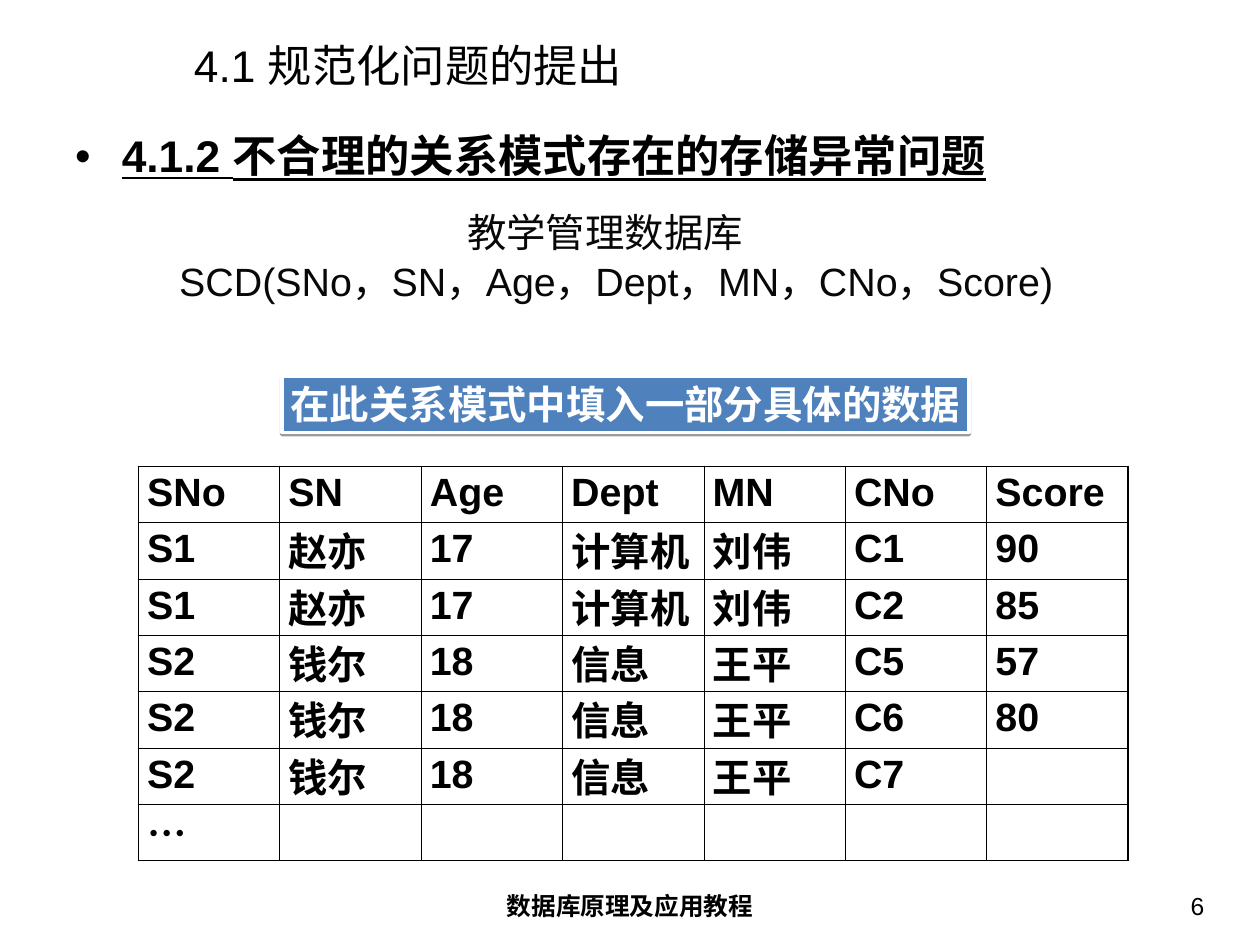
from lxml.etree import SubElement
from pptx import Presentation
from pptx.dml.color import RGBColor
from pptx.enum.shapes import MSO_SHAPE as SHAPE
from pptx.enum.text import MSO_ANCHOR as ANCHOR, PP_ALIGN as ALIGN
from pptx.oxml.ns import qn
from pptx.util import Pt

LATIN, CJK = "Arial", "Noto Sans CJK SC"
BLACK, WHITE, BLUE, INK = "000000", "FFFFFF", "4F81BD", "080808"
COURSE_ROWS = [
    ["SNo", "SN", "Age", "Dept", "MN", "CNo", "Score"],
    ["S1", "赵亦", "17", "计算机", "刘伟", "C1", "90"],
    ["S1", "赵亦", "17", "计算机", "刘伟", "C2", "85"],
    ["S2", "钱尔", "18", "信息", "王平", "C5", "57"],
    ["S2", "钱尔", "18", "信息", "王平", "C6", "80"],
    ["S2", "钱尔", "18", "信息", "王平", "C7", ""],
    ["…", "", "", "", "", "", ""],
]


def rgb(color):
    return RGBColor.from_string(color)


def add_run(p, text, color=BLACK, name=LATIN, **formats):
    r = p.add_run()
    r.text = text
    r.font.color.rgb = rgb(color)
    formats["name"] = name
    for key, value in formats.items():
        setattr(r.font, key, value)
    SubElement(r.font._element, qn("a:ea")).set("typeface", CJK)


def set_frame(tf, side, end, anchor=ANCHOR.TOP, wrap=True):
    formats = dict(margin_left=Pt(side), margin_right=Pt(side), margin_top=Pt(end),
                   margin_bottom=Pt(end), vertical_anchor=anchor, word_wrap=wrap)
    for key, value in formats.items():
        setattr(tf, key, value)


def add_label(s, box, text, align=ALIGN.LEFT, anchor=ANCHOR.TOP, **formats):
    tf = s.shapes.add_textbox(*map(Pt, box)).text_frame
    set_frame(tf, 10, 5, anchor)
    p = tf.paragraphs[0]
    p.alignment = align
    add_run(p, text, **formats)
    return p


def set_indent(p, left, first):
    pPr = p._p.get_or_add_pPr()
    pPr.set("marL", str(Pt(left)))
    pPr.set("indent", str(Pt(first)))
    return pPr


def add_heading(s, box):
    p = add_label(s, box, "4.1.2 不合理的关系模式存在的存储异常问题",
                  size=Pt(36), bold=True, underline=True)
    p.line_spacing = 0.9
    pPr = set_indent(p, 38, -38)
    color = SubElement(SubElement(pPr, qn("a:buClr")), qn("a:srgbClr"))
    color.set("val", BLACK)
    SubElement(pPr, qn("a:buFont")).set("typeface", LATIN)
    SubElement(pPr, qn("a:buChar")).set("char", "•")


def add_schema(s, box):
    tf = s.shapes.add_textbox(*map(Pt, box)).text_frame
    set_frame(tf, 7.2, 3.6)
    lines = [("教学管理数据库", -18),
             ("SCD(SNo，SN，Age，Dept，MN，CNo，Score)", 0)]
    for i, (text, first) in enumerate(lines):
        p = tf.add_paragraph() if i else tf.paragraphs[0]
        p.alignment = ALIGN.CENTER
        p.line_spacing = 0.9
        p.space_before = Pt(5)
        set_indent(p, 90, first)
        add_run(p, text, INK, size=Pt(32))


def add_banner(s, box):
    sp = s.shapes.add_shape(SHAPE.RECTANGLE, *map(Pt, box))
    sp.fill.solid()
    sp.fill.fore_color.rgb = rgb(BLUE)
    sp.line.color.rgb = rgb(WHITE)
    sp.line.width = Pt(3)
    # Thin shadow below the banner
    sp.shadow.inherit = False
    shadow = SubElement(sp._element.spPr.find(qn("a:effectLst")), qn("a:outerShdw"))
    for key, value in dict(blurRad=0, dist=Pt(1.6), dir=5400000, rotWithShape=0).items():
        shadow.set(key, str(value))
    color = SubElement(shadow, qn("a:srgbClr"))
    color.set("val", BLACK)
    SubElement(color, qn("a:alpha")).set("val", "38000")
    # Banner text
    set_frame(sp.text_frame, 7.2, 3.6, ANCHOR.MIDDLE, False)
    p = sp.text_frame.paragraphs[0]
    p.alignment = ALIGN.LEFT
    add_run(p, "在此关系模式中填入一部分具体的数据", WHITE, size=Pt(32), bold=True)


def set_borders(cell, widths):
    tcPr = cell._tc.get_or_add_tcPr()
    for i, (side, width) in enumerate(widths.items()):
        ln = tcPr.makeelement(qn(f"a:{side}"), {"w": str(Pt(width))})
        fill = SubElement(ln, qn("a:solidFill"))
        SubElement(fill, qn("a:srgbClr")).set("val", BLACK)
        tcPr.insert(i, ln)


def fill_cell(cell, text):
    is_cjk = bool(text) and not text.isascii()
    margins = dict(margin_left=7.2, margin_right=7.2,
                   margin_top=7.2 if is_cjk else 3.6,
                   margin_bottom=0 if is_cjk else 3.6)
    for key, value in margins.items():
        setattr(cell, key, Pt(value))
    cell.fill.background()
    if text:
        p = cell.text_frame.paragraphs[0]
        p.space_before = Pt(8)
        if is_cjk:
            p.line_spacing = Pt(38)
        add_run(p, text, name=CJK if text == "…" else LATIN, size=Pt(32), bold=True)


def add_course_table(s, box):
    n_rows, n_cols = len(COURSE_ROWS), len(COURSE_ROWS[0])
    table = s.shapes.add_table(n_rows, n_cols, *map(Pt, box)).table
    table.first_row = table.horz_banding = False
    for column in table.columns:
        column.width = Pt(box[2] / n_cols)
    for i, values in enumerate(COURSE_ROWS):
        table.rows[i].height = Pt(box[3] / n_rows)
        for j, text in enumerate(values):
            cell = table.cell(i, j)
            fill_cell(cell, text)
            # Outer edges are heavier than inner ones
            outer = dict(lnL=j == 0, lnR=j == n_cols - 1, lnT=i == 0, lnB=i == n_rows - 1)
            set_borders(cell, {side: 1.08 if edge else 0.45 for side, edge in outer.items()})


def add_footer(s, box):
    left, top, width, height = box
    add_label(s, (left, top, 324, height), "数据库原理及应用教程", ALIGN.CENTER,
              size=Pt(20), bold=True)
    add_label(s, (left + width - 239, top, 239, height), "6", ALIGN.RIGHT, size=Pt(20))


def main():
    prs = Presentation()
    prs.slide_width, prs.slide_height = Pt(1023.84), Pt(767.52)
    s = prs.slides.add_slide(prs.slide_layouts[6])
    add_footer(s, (350, 718.5, 638.5, 40))
    add_label(s, (147.6, 32.4, 852, 41), "4.1 规范化问题的提出",
              anchor=ANCHOR.MIDDLE, size=Pt(36))
    add_heading(s, (51, 104.4, 921.6, 64))
    add_schema(s, (0, 170, 911.5, 112.3))
    add_banner(s, (229, 305.3, 558.7, 46))
    add_course_table(s, (112.3, 378.7, 804.3, 320.4))
    prs.save("out.pptx")


if __name__ == "__main__":
    main()
